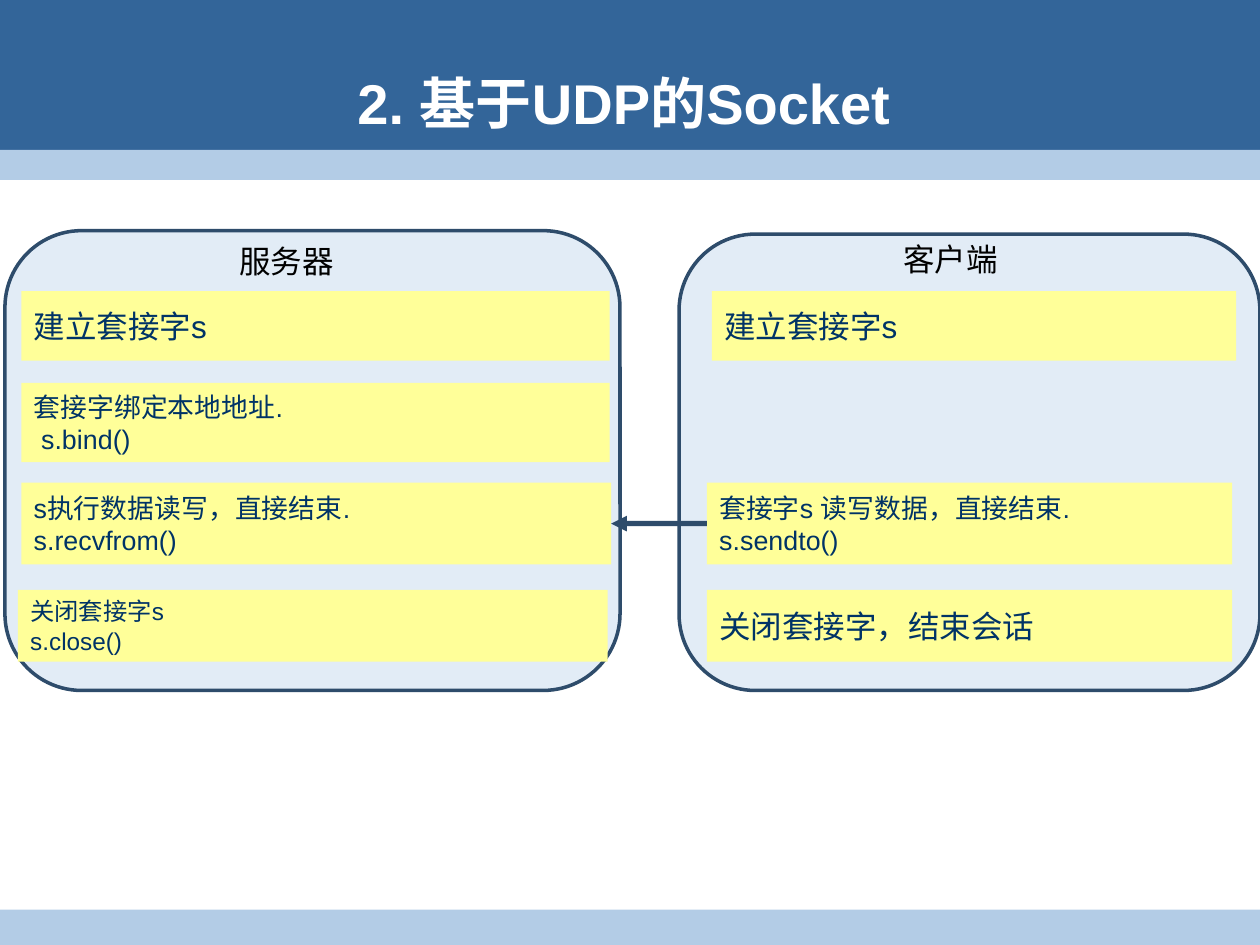
from dataclasses import dataclass
from lxml import etree
from pptx import Presentation
from pptx.dml.color import RGBColor
from pptx.enum.shapes import MSO_CONNECTOR, MSO_SHAPE
from pptx.enum.text import MSO_ANCHOR, MSO_AUTO_SIZE, PP_ALIGN
from pptx.oxml.ns import qn
from pptx.util import Cm, Pt

RECT = MSO_SHAPE.RECTANGLE
ROUND = MSO_SHAPE.ROUNDED_RECTANGLE
LINE = MSO_CONNECTOR.STRAIGHT
MID, TOP = MSO_ANCHOR.MIDDLE, MSO_ANCHOR.TOP
LEFT, CENTER = PP_ALIGN.LEFT, PP_ALIGN.CENTER
FIXED = MSO_AUTO_SIZE.NONE
LEFT_SITE, RIGHT_SITE = 1, 3


@dataclass(frozen=True)
class Theme:
    font: str = "Arial"
    deep: str = "336599"
    pale: str = "B3CCE6"
    panel: str = "E2ECF6"
    edge: str = "2E4C6B"
    step: str = "FFFF99"
    ink: str = "003366"
    black: str = "000000"
    white: str = "FFFFFF"
    title: float = 32
    large: float = 18
    medium: float = 15.3
    small: float = 13.9


THEME = Theme()

# Each row holds its rise above the panel's bottom edge and its height.
ROWS = {"open": (8.05, 1.4), "bind": (6.2, 1.6),
        "data": (4.19, 1.65), "close": (2.03, 1.45)}

SERVER = {
    "box": (0.1, 4.65, 12.4, 9.27),
    "head": ("服务器", 4.47, 0.1, 4.14),
    "steps": {
        "open": (0.33, 11.86, THEME.large, ["建立套接字s"]),
        "bind": (0.33, 11.86, THEME.medium, ["套接字绑定本地地址.", " s.bind()"]),
        "data": (0.33, 11.89, THEME.medium,
                 ["s执行数据读写，直接结束.", "s.recvfrom()"]),
        "close": (0.26, 11.89, THEME.small, ["关闭套接字s", "s.close()"]),
    },
}
CLIENT = {
    "box": (13.69, 4.72, 11.71, 9.2),
    "head": ("客户端", 4.27, 0, 3.28),
    "steps": {
        "open": (0.66, 10.57, THEME.large, ["建立套接字s"]),
        "data": (0.56, 10.59, THEME.medium,
                 ["套接字s 读写数据，直接结束.", "s.sendto()"]),
        "close": (0.56, 10.59, THEME.large, ["关闭套接字，结束会话"]),
    },
}


def color(code):
    return RGBColor.from_string(code)


def apply(item, values):
    for name, value in values.items():
        setattr(item, name, value)


def place(item, box):
    apply(item, dict(zip(("left", "top", "width", "height"), map(Cm, box))))


def write(shape, lines, size, ink, anchor=MID, align=LEFT, bold=False):
    frame = shape.text_frame
    apply(frame, {"word_wrap": True, "auto_size": FIXED,
                  "vertical_anchor": anchor})
    frame.text = "\n".join(lines)
    for para in frame.paragraphs:
        para.alignment = align
        for run in para.runs:
            apply(run.font, {"name": THEME.font, "size": Pt(size), "bold": bold})
            run.font.color.rgb = color(ink)


def block(slide, box, fill, kind=RECT, edge=None):
    shape = slide.shapes.add_shape(kind, *map(Cm, box))
    shape.shadow.inherit = False
    shape.fill.solid()
    shape.fill.fore_color.rgb = color(fill)
    if edge:
        shape.line.color.rgb = color(edge)
        shape.line.width = Pt(2)
    else:
        shape.line.fill.background()
    return shape


def header(slide, box):
    left, top, width, height = box
    block(slide, (left, top, width, height - 0.3), THEME.deep)
    block(slide, (left, top + height - 0.61, width, 0.61), THEME.pale)
    title = slide.shapes.title
    slide.shapes._spTree.append(title._element)
    place(title, (left + 1.07, top + 1.32, width - 2.39, 1.47))
    write(title, ["2. 基于UDP的Socket"], THEME.title, THEME.white,
          align=CENTER, bold=True)


def footer(slide, box):
    block(slide, box, THEME.pale)


def panel(slide, box, head, steps):
    left, top, _, height = box
    frame = block(slide, box, THEME.panel, ROUND, THEME.edge)
    frame.adjustments[0] = 0.167
    text, shift, drop, width = head
    label = slide.shapes.add_textbox(
        *map(Cm, (left + shift, top + drop, width, 1.02)))
    write(label, [text], THEME.large, THEME.black, TOP)
    shapes = {}
    for name, (inset, width, size, lines) in steps.items():
        rise, tall = ROWS[name]
        spot = (left + inset, top + height - rise, width, tall)
        shapes[name] = block(slide, spot, THEME.step)
        write(shapes[name], lines, size, THEME.ink)
    return shapes


def arrow(slide, start, end):
    line = slide.shapes.add_connector(LINE, 0, 0, 0, 0)
    line.begin_connect(start, LEFT_SITE)
    line.end_connect(end, RIGHT_SITE)
    line.line.color.rgb = color(THEME.edge)
    line.line.width = Pt(3)
    props = line._element.spPr
    etree.SubElement(props.find(qn("a:ln")), qn("a:tailEnd"), type="triangle")
    etree.SubElement(props, qn("a:effectLst"))


def main():
    deck = Presentation()
    apply(deck, {"slide_width": Cm(25.4), "slide_height": Cm(19.05)})
    slide = deck.slides.add_slide(deck.slide_layouts[5])
    header(slide, (0, 0, 25.4, 3.63))
    footer(slide, (0, 18.34, 25.4, 0.71))
    server = panel(slide, **SERVER)
    client = panel(slide, **CLIENT)
    arrow(slide, client["data"], server["data"])
    deck.save("out.pptx")


if __name__ == "__main__":
    main()
